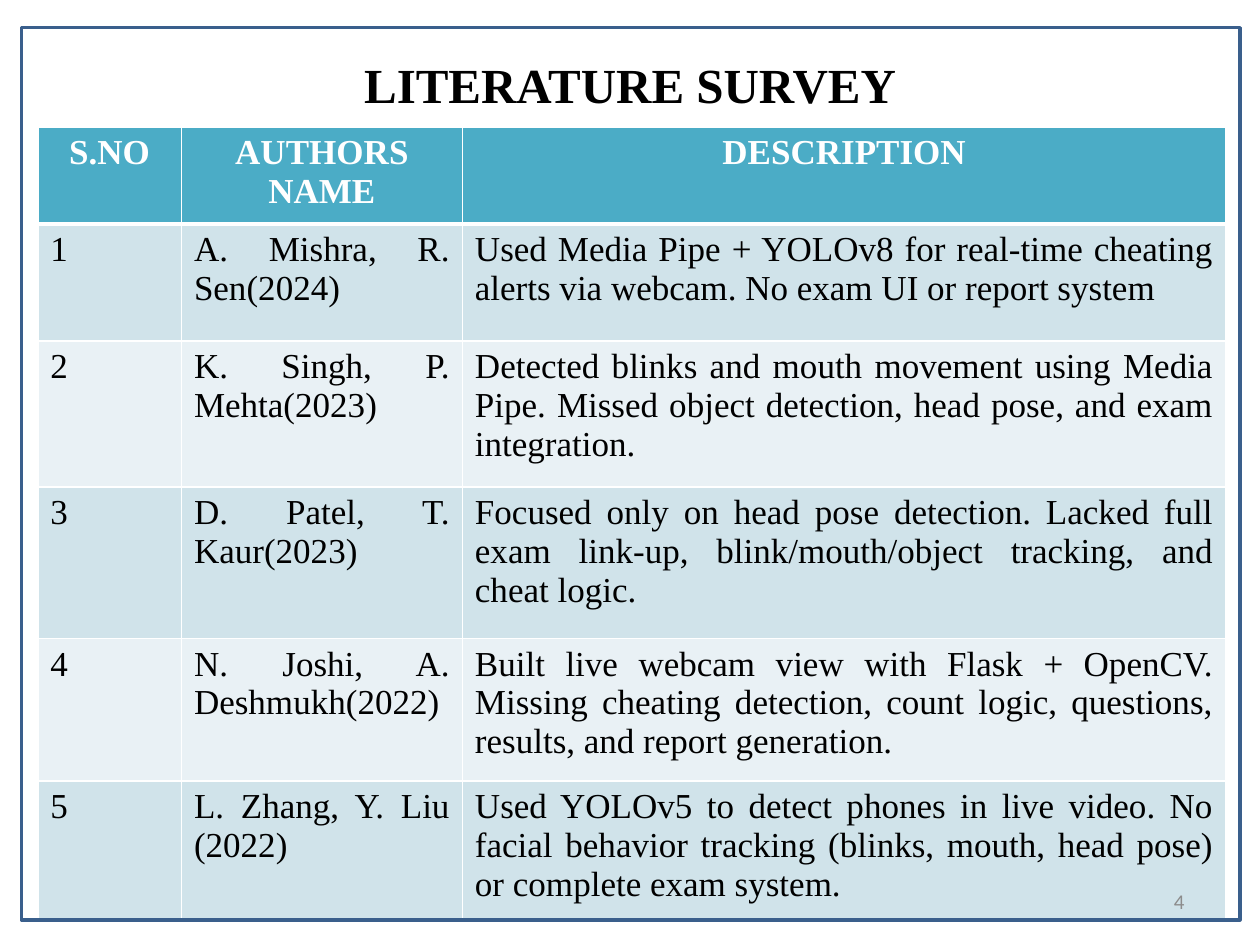
from pptx import Presentation
from pptx.dml.color import RGBColor
from pptx.enum.shapes import MSO_SHAPE as Shape
from pptx.enum.text import MSO_ANCHOR as Anchor, PP_ALIGN as Align
from pptx.oxml.ns import qn
from pptx.util import Inches, Pt
from lxml.etree import SubElement as Sub

HEAD = ["S.NO", "AUTHORS NAME", "DESCRIPTION"]
PAPERS = [
    ("A. Mishra, R. Sen(2024)",
     "Used Media Pipe + YOLOv8 for real-time cheating alerts via webcam. "
     "No exam UI or report system"),
    ("K. Singh, P. Mehta(2023)",
     "Detected blinks and mouth movement using Media Pipe. Missed object "
     "detection, head pose, and exam integration."),
    ("D. Patel, T. Kaur(2023)",
     "Focused only on head pose detection. Lacked full exam link-up, "
     "blink/mouth/object tracking, and cheat logic."),
    ("N. Joshi, A. Deshmukh(2022)",
     "Built live webcam view with Flask + OpenCV. Missing cheating detection, "
     "count logic, questions, results, and report generation."),
    ("L. Zhang, Y. Liu (2022)",
     "Used YOLOv5 to detect phones in live video. No facial behavior tracking "
     "(blinks, mouth, head pose) or complete exam system."),
]
COLS = [1.14, 2.23, 6.06]
ROWS = [0.71, 0.93, 1.16, 1.2, 1.13, 1.03]


def color(code):
    return RGBColor.from_string(code)


class Deck:
    serif, sans = "Times New Roman", "Calibri"
    ink, white, gray = "000000", "FFFFFF", "8C8C8C"
    teal, bands, navy = "4BACC6", ("D0E3EA", "E9F1F5"), "3A5F8C"

    def __init__(self, slide):
        self.slide = slide

    def label(self, frame, text, size, font, code, align, bold=False):
        frame.text = text
        para = frame.paragraphs[0]
        para.alignment = align
        face = para.runs[0].font
        face.size, face.name, face.bold = Pt(size), font, bold
        face.color.rgb = color(code)

    def text(self, box, text, *style):
        frame = self.slide.shapes.add_textbox(*map(Inches, box)).text_frame
        frame.word_wrap = True
        frame.vertical_anchor = Anchor.MIDDLE
        self.label(frame, text, *style)

    def edge(self, cell, head):
        """Draw white cell borders, thicker under the header row."""
        props = cell._tc.get_or_add_tcPr()
        for side in "LRTB":
            width = Pt(3 if head and side == "B" else 1)
            line = Sub(props, qn(f"a:ln{side}"), w=str(width))
            Sub(Sub(line, qn("a:solidFill")), qn("a:srgbClr"), val=self.white)

    def table(self, left, top, cols, rows, data):
        size = map(Inches, (left, top, sum(cols), sum(rows)))
        grid = self.slide.shapes.add_table(len(rows), len(cols), *size).table
        for col, width in zip(grid.columns, cols):
            col.width = Inches(width)
        for r, (row, height) in enumerate(zip(grid.rows, rows)):
            row.height = Inches(height)
            head = r == 0
            fill = self.teal if head else self.bands[(r - 1) % 2]
            code = self.white if head else self.ink
            align = Align.CENTER if head else Align.JUSTIFY
            for cell, text in zip(row.cells, data[r]):
                self.label(cell.text_frame, text, 20, self.serif, code, align, head)
                self.edge(cell, head)
                cell.fill.solid()
                cell.fill.fore_color.rgb = color(fill)

    def frame(self, box):
        rect = self.slide.shapes.add_shape(Shape.RECTANGLE, *map(Inches, box))
        rect.shadow.inherit = False
        rect.fill.background()
        rect.line.color.rgb = color(self.navy)
        rect.line.width = Pt(2)


def main():
    show = Presentation()
    show.slide_width, show.slide_height = Inches(10), Inches(7.5)
    deck = Deck(show.slides.add_slide(show.slide_layouts[6]))
    deck.text((0.5, 0.42, 9, 0.5), "LITERATURE SURVEY",
              28, deck.serif, deck.ink, Align.CENTER, True)
    data = [HEAD] + [(str(n), *paper) for n, paper in enumerate(PAPERS, 1)]
    deck.table(0.3, 1.01, COLS, ROWS, data)
    deck.text((7.17, 6.95, 2.33, 0.4), "4", 12, deck.sans, deck.gray, Align.RIGHT)
    deck.frame((0.17, 0.22, 9.67, 7.08))
    show.save("out.pptx")


if __name__ == "__main__":
    main()
